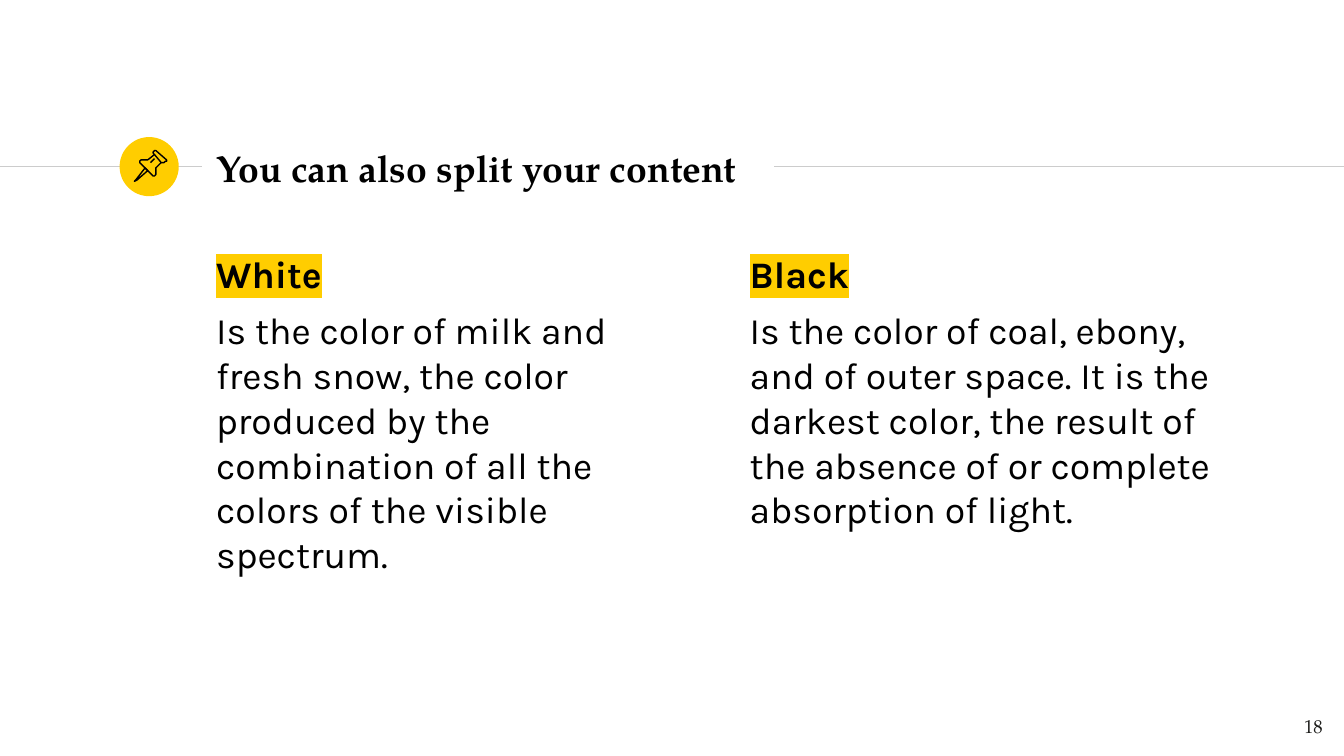
import pptx
import pptx.dml.color
import pptx.enum.shapes
import pptx.enum.text
import pptx.oxml
import pptx.oxml.ns
import pptx.util
from dataclasses import dataclass

Inches = pptx.util.Inches
MIDDLE = pptx.enum.text.MSO_ANCHOR.MIDDLE


@dataclass(frozen=True)
class Theme:
    accent: str = "FFCD00"
    text: str = "000000"
    rule: str = "CCCCCC"
    number: str = "1D1D1B"
    background: str = "FFFFFF"
    serif: str = "TeX Gyre Pagella"
    sans: str = "Karla"
    text_size: int = 20
    number_size: int = 10
    line_width: float = 0.75


THEME = Theme()

# Pushpin outlines in hundredths of an inch: points, closed
PUSHPIN = [
    ([(8, 13), (1, 22), (0, 23), (2, 22), (10, 15)], True),
    ([(15, 3), (20, 9), (22, 9), (23, 8), (24, 8), (24, 7), (16, 0),
      (15, 0), (14, 1), (14, 2)], True),
    ([(15, 3), (10, 7), (7, 7), (5, 7), (4, 8), (4, 9), (14, 19), (15, 19),
      (16, 18), (16, 13), (20, 9)], False),
    ([(12, 9), (15, 6)], False),
]

COLUMNS = [
    ("White", "Is the color of milk and fresh snow, the color produced by the "
              "combination of all the colors of the visible spectrum."),
    ("Black", "Is the color of coal, ebony, and of outer space. It is the "
              "darkest color, the result of the absence of or complete "
              "absorption of light."),
]


def rgb(color):
    return pptx.dml.color.RGBColor.from_string(color)


def apply_format(target, values):
    for name, value in values.items():
        setattr(target, name, value)


def set_line(shape, color):
    shape.line.color.rgb = rgb(color)
    shape.line.width = pptx.util.Pt(THEME.line_width)


def add_text_frame(slide, box, anchor=pptx.enum.text.MSO_ANCHOR.TOP):
    frame = slide.shapes.add_textbox(*map(Inches, box)).text_frame
    margins = {f"margin_{side}": Inches(0.1)
               for side in ("left", "top", "right", "bottom")}
    apply_format(frame, {"word_wrap": True, "vertical_anchor": anchor, **margins})
    return frame


def add_run(paragraph, text, font, size, color=THEME.text, bold=False):
    run = paragraph.add_run()
    run.text = text
    apply_format(run.font, {"name": font, "size": pptx.util.Pt(size), "bold": bold})
    run.font.color.rgb = rgb(color)
    return run


def highlight(run, color):
    """Mark the run; the schema wants the mark just before the typeface."""
    mark = pptx.oxml.parse_xml(
        f'<a:highlight {pptx.oxml.ns.nsdecls("a")}>'
        f'<a:srgbClr val="{color}"/></a:highlight>')
    run.font._element.find(pptx.oxml.ns.qn("a:latin")).addprevious(mark)


def add_rule(slide, left, right, y):
    rule = slide.shapes.add_connector(
        pptx.enum.shapes.MSO_CONNECTOR.STRAIGHT,
        Inches(left), Inches(y), Inches(right), Inches(y))
    set_line(rule, THEME.rule)
    rule._element.spPr.append(
        pptx.oxml.parse_xml(f'<a:effectLst {pptx.oxml.ns.nsdecls("a")}/>'))


def add_pushpin(slide, left, top):
    group = slide.shapes.add_group_shape()
    for points, closed in PUSHPIN:
        builder = group.shapes.build_freeform(*points[0], scale=Inches(0.01))
        builder.add_line_segments(points[1:], close=closed)
        outline = builder.convert_to_shape(Inches(left), Inches(top))
        outline.fill.background()
        outline.shadow.inherit = False
        set_line(outline, THEME.text)


def add_header(slide, box, title):
    """Place the badge, title and rules in a full-width band."""
    left, top, width, height = box
    rule_y = top + 0.23
    add_rule(slide, left, left + 1.5, rule_y)
    add_rule(slide, left + 5.76, left + width, rule_y)
    badge = slide.shapes.add_shape(
        pptx.enum.shapes.MSO_SHAPE.OVAL, Inches(left + 0.89),
        Inches(top + 0.01), Inches(0.44), Inches(0.44))
    badge.fill.solid()
    badge.fill.fore_color.rgb = rgb(THEME.accent)
    badge.line.fill.background()
    badge.shadow.inherit = False
    add_pushpin(slide, left + 1, top + 0.11)
    frame = add_text_frame(slide, (left + 1.51, top, 4.24, height), MIDDLE)
    add_run(frame.paragraphs[0], title, THEME.serif, THEME.text_size, bold=True)


def add_column(slide, box, heading, body):
    frame = add_text_frame(slide, box)
    paragraphs = frame.paragraphs[0], frame.add_paragraph()
    for paragraph in paragraphs:
        paragraph.space_before = pptx.util.Pt(6)
    heading_run = add_run(paragraphs[0], heading, THEME.sans, THEME.text_size,
                          bold=True)
    highlight(heading_run, THEME.accent)
    add_run(paragraphs[1], body, THEME.sans, THEME.text_size)


def add_slide_number(slide, box, number):
    paragraph = add_text_frame(slide, box, MIDDLE).paragraphs[0]
    paragraph.alignment = pptx.enum.text.PP_ALIGN.RIGHT
    add_run(paragraph, number, THEME.serif, THEME.number_size, THEME.number)


def main():
    presentation = pptx.Presentation()
    slide_width = Inches(10)
    apply_format(presentation, {"slide_width": slide_width,
                                "slide_height": slide_width * 9 // 16})
    slide = presentation.slides.add_slide(presentation.slide_layouts[6])
    slide.background.fill.solid()
    slide.background.fill.fore_color.rgb = rgb(THEME.background)

    add_header(slide, (0, 1.01, 10, 0.48), "You can also split your content")
    column_width, gap = 3.75, 0.22
    for index, (heading, body) in enumerate(COLUMNS):
        left = 1.51 + index * (column_width + gap)
        add_column(slide, (left, 1.77, column_width, 3.53), heading, body)
    add_slide_number(slide, (9.34, 5.19, 0.6, 0.43), "18")
    presentation.save("out.pptx")


if __name__ == "__main__":
    main()
